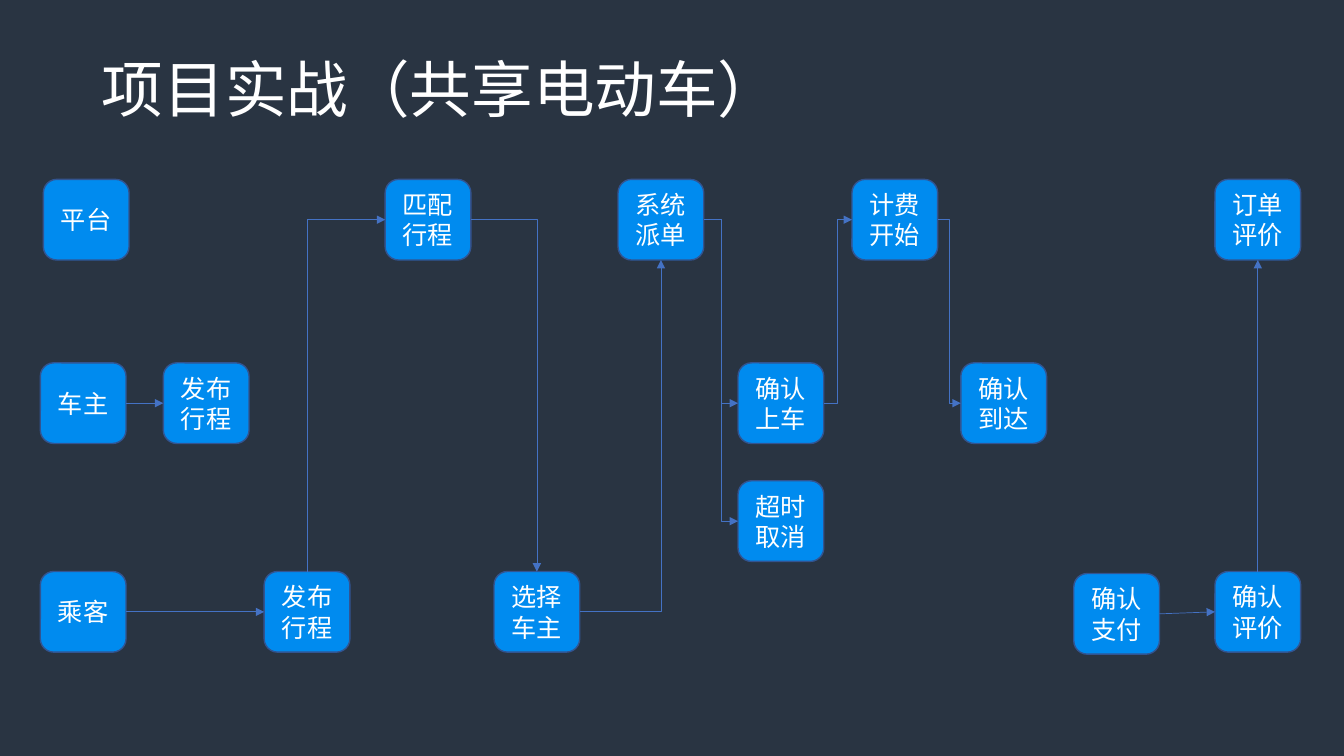
"""Build the swimlane flow of a shared electric car project."""
from lxml import etree
from pptx import Presentation
from pptx import util as u
from pptx.dml.color import RGBColor
from pptx.enum import shapes, text
from pptx.oxml import ns

TOP, LEFT, BOTTOM, RIGHT = range(4)


def paint(code):
    return RGBColor.from_string(code)


class Board:
    font = "Noto Sans CJK SC"
    back, white = "293442", "FFFFFF"
    blue, edge, wire = "008BEF", "325491", "4472C4"
    wide, high = 0.85, 0.8

    def __init__(self, deck):
        self.slide = deck.slides.add_slide(deck.slide_layouts[5])
        fill = self.slide.background.fill
        fill.solid()
        fill.fore_color.rgb = paint(self.back)

    def label(self, para, words, size):
        run = para.add_run()
        run.text = words
        run.font.size = u.Pt(size)
        run.font.name = self.font
        run.font.color.rgb = paint(self.white)
        east = etree.SubElement(run.font._element, ns.qn("a:ea"))
        east.set("typeface", self.font)

    def title(self, words):
        head = self.slide.shapes.title
        head.left, head.top = u.Inches(0.91), u.Inches(0.19)
        head.width, head.height = u.Inches(11.5), u.Inches(1.45)
        frame = head.text_frame
        frame.word_wrap = True
        frame.auto_size = text.MSO_AUTO_SIZE.NONE
        frame.vertical_anchor = text.MSO_ANCHOR.MIDDLE
        para = frame.paragraphs[0]
        para.alignment = text.PP_ALIGN.LEFT
        para.line_spacing = 0.9
        self.label(para, words, 44)

    def box(self, words, left, top):
        node = self.slide.shapes.add_shape(
            shapes.MSO_SHAPE.ROUNDED_RECTANGLE, u.Inches(left), u.Inches(top),
            u.Inches(self.wide), u.Inches(self.high))
        node.shadow.inherit = False
        node.fill.solid()
        node.fill.fore_color.rgb = paint(self.blue)
        node.line.color.rgb = paint(self.edge)
        node.line.width = u.Pt(1)
        frame = node.text_frame
        frame.word_wrap = True
        frame.vertical_anchor = text.MSO_ANCHOR.MIDDLE
        para = frame.paragraphs[0]
        para.alignment = text.PP_ALIGN.CENTER
        self.label(para, words, 18)
        return node

    def link(self, start, out, end, into, kind=shapes.MSO_CONNECTOR.STRAIGHT):
        line = self.slide.shapes.add_connector(kind, 0, 0, 0, 0)
        line.begin_connect(start, out)
        line.end_connect(end, into)
        line.line.color.rgb = paint(self.wire)
        line.line.width = u.Pt(0.5)
        props = line._element.spPr
        tip = etree.SubElement(props.find(ns.qn("a:ln")), ns.qn("a:tailEnd"))
        tip.set("type", "triangle")
        etree.SubElement(props, ns.qn("a:effectLst"))
        return line

    def elbow(self, start, out, end, into):
        return self.link(start, out, end, into, shapes.MSO_CONNECTOR.ELBOW)

    def corner(self, start, out, end, into):
        line = self.elbow(start, out, end, into)
        props = line._element.spPr
        props.find(ns.qn("a:prstGeom")).set("prst", "bentConnector2")
        if out == TOP:
            wide, high = line.width, line.height
            line.left += (wide - high) // 2
            line.top += (high - wide) // 2
            line.width, line.height = high, wide
            frame = props.find(ns.qn("a:xfrm"))
            frame.set("rot", "5400000")
            frame.set("flipH", "1")


def main():
    deck = Presentation()
    deck.slide_width, deck.slide_height = u.Inches(13.33), u.Inches(7.5)
    board = Board(deck)
    board.title("项目实战（共享电动车）")

    host, owner, rider = 1.78, 3.6, 5.67
    driver = board.box("车主", 0.4, owner)
    guest = board.box("乘客", 0.4, rider)
    board.box("平台", 0.43, host)
    offer = board.box("发布行程", 1.62, owner)
    ask = board.box("发布行程", 2.62, rider)
    match = board.box("匹配行程", 3.82, host)
    choose = board.box("选择车主", 4.9, rider)
    send = board.box("系统派单", 6.13, host)
    enter = board.box("确认上车", 7.32, owner)
    cancel = board.box("超时取消", 7.32, 4.77)
    meter = board.box("计费开始", 8.45, host)
    arrive = board.box("确认到达", 9.53, owner)
    pay = board.box("确认支付", 10.65, 5.69)
    rate = board.box("确认评价", 12.05, rider)
    review = board.box("订单评价", 12.05, host)

    for start, end in ((driver, offer), (guest, ask), (pay, rate)):
        board.link(start, RIGHT, end, LEFT)
    board.link(rate, TOP, review, BOTTOM)
    board.corner(ask, TOP, match, LEFT)
    board.corner(match, RIGHT, choose, TOP)
    board.corner(choose, RIGHT, send, BOTTOM)
    for start, end in ((send, enter), (send, cancel),
                       (enter, meter), (meter, arrive)):
        board.elbow(start, RIGHT, end, LEFT)

    deck.save("out.pptx")


if __name__ == "__main__":
    main()
